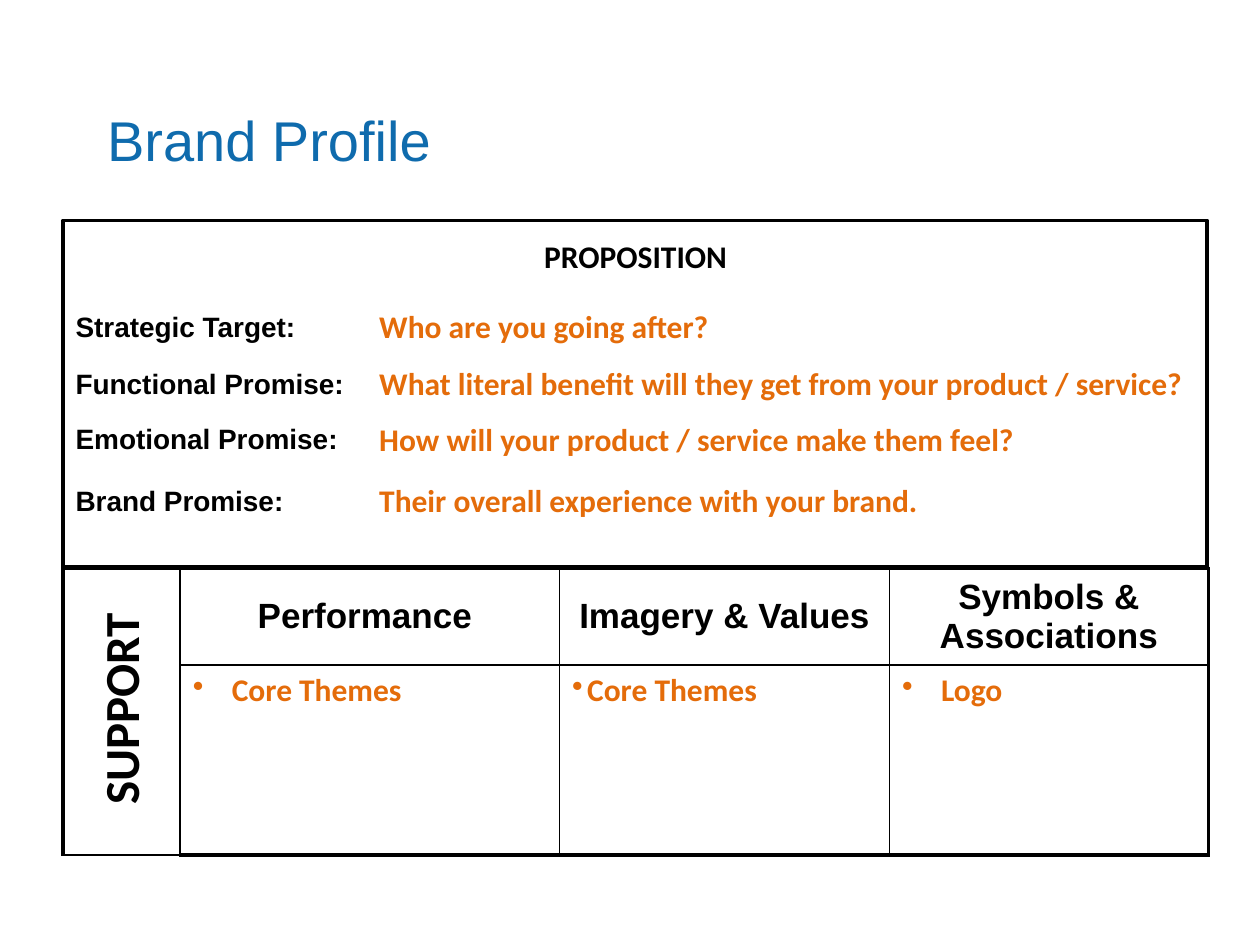
from lxml import etree
from pptx import Presentation
from pptx.dml.color import RGBColor
from pptx.enum.shapes import MSO_SHAPE as Shape
from pptx.enum.text import MSO_ANCHOR as Anchor, MSO_AUTO_SIZE as AutoSize, PP_ALIGN as Align
from pptx.oxml.ns import qn
from pptx.util import Inches, Pt

BLACK, BLUE, ORANGE = "000000", "0F6BAD", "E46C0A"
THIN, THICK = 1, 2.25

PROPOSITION = [
    ("Strategic Target:", "Who are you going after?"),
    ("Functional Promise:", "What literal benefit will they get from your product / service?"),
    ("Emotional Promise:", "How will your product / service make them feel?"),
    ("Brand Promise:", "Their overall experience with your brand."),
]
SUPPORT = [
    ("Performance ", "Core Themes", 0.31),
    ("Imagery & Values", "Core Themes", 0.12),
    ("Symbols & Associations", "Logo", 0.31),
]


def color(value):
    """Return the colour for a hex string."""
    return RGBColor.from_string(value)


def write(frame, text, size, name, value, bold=True, align=Align.LEFT):
    """Fill a text frame with one formatted paragraph and return it."""
    paragraph = frame.paragraphs[0]
    paragraph.text = text
    paragraph.alignment = align
    font = paragraph.font
    font.size, font.name, font.bold = Pt(size), name, bold
    font.color.rgb = color(value)
    return paragraph


def add_title(slide, text):
    """Place and format the title placeholder."""
    title = slide.shapes.title
    title.left, title.top = Inches(0.75), Inches(0.75)
    title.width, title.height = Inches(7.33), Inches(0.67)
    title.text_frame.vertical_anchor = Anchor.BOTTOM
    write(title.text_frame, text, 32, "Arial", BLUE, bold=False)


def add_label(slide, text, left, top, width, height, size, rotation=0):
    """Add a centred one-line heading."""
    box = slide.shapes.add_textbox(Inches(left), Inches(top), Inches(width), Inches(height))
    box.rotation = rotation
    frame = box.text_frame
    frame.word_wrap = False
    frame.auto_size = AutoSize.SHAPE_TO_FIT_TEXT
    frame.vertical_anchor = Anchor.MIDDLE
    write(frame, text, size, "Calibri", BLACK, align=Align.CENTER)


def add_frame(slide, left, top, width, height):
    """Add an unfilled outlined rectangle."""
    shape = slide.shapes.add_shape(
        Shape.RECTANGLE, Inches(left), Inches(top), Inches(width), Inches(height))
    shape.shadow.inherit = False
    shape.fill.background()
    shape.line.color.rgb = color(BLACK)
    shape.line.width = Pt(THICK)


def add_grid(slide, left, top, columns, rows):
    """Add a plain table with the given column widths and row heights."""
    table = slide.shapes.add_table(
        len(rows), len(columns), Inches(left), Inches(top),
        Inches(sum(columns)), Inches(sum(rows))).table
    table.first_row = table.horz_banding = False
    for column, width in zip(table.columns, columns):
        column.width = Inches(width)
    for row, height in zip(table.rows, rows):
        row.height = Inches(height)
    for cell in table.iter_cells():
        cell.fill.background()
        cell.vertical_anchor = Anchor.MIDDLE
    return table


def set_borders(table):
    """Draw thick outer and thin inner borders."""
    last_row, last_column = len(table.rows) - 1, len(table.columns) - 1
    for r, row in enumerate(table.rows):
        for c, cell in enumerate(row.cells):
            edges = {"lnL": c == 0, "lnR": c == last_column,
                     "lnT": r == 0, "lnB": r == last_row}
            properties = cell._tc.get_or_add_tcPr()
            for index, (tag, outer) in enumerate(edges.items()):
                line = etree.Element(qn(f"a:{tag}"), w=str(Pt(THICK if outer else THIN)))
                fill = etree.SubElement(line, qn("a:solidFill"))
                etree.SubElement(fill, qn("a:srgbClr"), val=BLACK)
                properties.insert(index, line)


def add_bullet(paragraph, indent):
    """Give a paragraph a hanging bullet."""
    properties = paragraph._p.get_or_add_pPr()
    properties.set("marL", str(Inches(indent)))
    properties.set("indent", str(-Inches(indent)))
    bullet = etree.Element(qn("a:buChar"), char="•")
    properties.insert_element_before(bullet, "a:tabLst", "a:defRPr", "a:extLst")


def add_proposition(slide):
    """Add the table of promises."""
    table = add_grid(slide, 0.5, 2.35, [2.41, 6.68], [0.5, 0.41, 0.47, 0.51])
    for row, (label, answer) in zip(table.rows, PROPOSITION):
        write(row.cells[0].text_frame, label, 16, "Arial", BLACK)
        write(row.cells[1].text_frame, answer, 18, "Calibri", ORANGE)


def add_support(slide):
    """Add the table of supporting themes."""
    table = add_grid(slide, 0.5, 4.51, [0.93, 3.01, 2.62, 2.53], [0.76, 1.51])
    table.cell(0, 0).merge(table.cell(1, 0))
    for column, (heading, theme, indent) in enumerate(SUPPORT, 1):
        write(table.cell(0, column).text_frame, heading, 20, "Arial", BLACK, align=Align.CENTER)
        body = table.cell(1, column)
        body.vertical_anchor = Anchor.TOP
        add_bullet(write(body.text_frame, theme, 18, "Calibri", ORANGE), indent)
    set_borders(table)


def main():
    """Build and save the slide."""
    presentation = Presentation()
    presentation.slide_width, presentation.slide_height = Inches(10), Inches(7.5)
    slide = presentation.slides.add_slide(presentation.slide_layouts[5])
    add_title(slide, "Brand Profile")
    add_proposition(slide)
    add_label(slide, "PROPOSITION", 4.21, 1.83, 1.67, 0.4, 18)
    add_support(slide)
    add_label(slide, "SUPPORT", 0.08, 5.34, 1.74, 0.57, 28, rotation=270)
    add_frame(slide, 0.5, 1.75, 9.08, 2.75)
    presentation.save("out.pptx")


if __name__ == "__main__":
    main()
